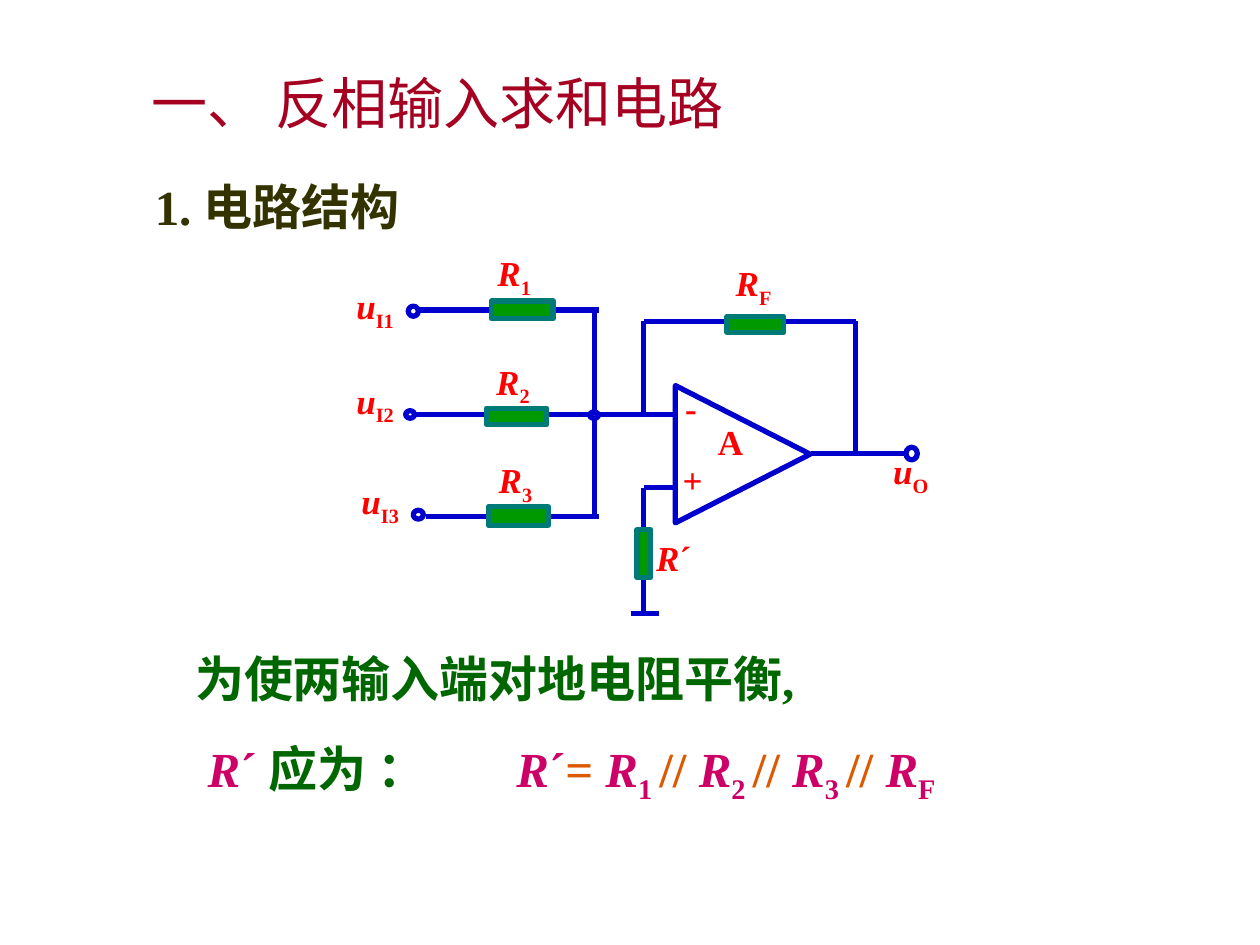
"""Build the slide on the inverting summing amplifier."""
from typing import NamedTuple

from lxml.etree import SubElement
from pptx import Presentation
from pptx.dml.color import RGBColor
from pptx.enum.shapes import MSO_CONNECTOR, MSO_SHAPE as Preset
from pptx.enum.text import MSO_ANCHOR as Anchor, PP_ALIGN as Align
from pptx.oxml.ns import qn
from pptx.util import Inches, Pt

CELL = Inches(0.1)
COLUMNS, ROWS = 100, 75
WIRE, BODY, BODY_EDGE, NODE = "0000CC", "009900", "007A77", "4C30F6"
RED, PINK, GREEN, ORANGE = "FF0000", "CC0066", "006600", "DC5900"
LATIN, ASIAN = "Times New Roman", "Noto Sans CJK JP"


class Wire(NamedTuple):
    """A straight wire between two grid points."""
    x1: float
    y1: float
    x2: float
    y2: float


class Box(NamedTuple):
    """A rectangle in grid columns and rows."""
    left: float
    top: float
    width: float
    height: float


class Label(NamedTuple):
    """A circuit label: a symbol with an upright suffix."""
    left: float
    top: float
    symbol: str
    suffix: str = ""
    subscript: bool = True
    italic: bool = True


WIRES = [
    Wire(33.8, 41, 47.5, 41), Wire(33, 32.9, 53.6, 32.9), Wire(33.1, 24.6, 47.5, 24.6),
    Wire(47.2, 24.5, 47.2, 41), Wire(51.1, 33.1, 51.1, 25.5), Wire(51.1, 25.5, 67.9, 25.5),
    Wire(67.9, 25.5, 67.9, 36.1), Wire(64.4, 36, 71.8, 36), Wire(51.1, 38.7, 53.6, 38.7),
    Wire(51.1, 38.7, 51.1, 48.7), Wire(50.1, 48.7, 52.3, 48.7),
]
RESISTORS = [
    Box(39, 23.9, 4.9, 1.4), Box(38.6, 32.4, 4.8, 1.3), Box(38.8, 40.2, 4.7, 1.5),
    Box(57.7, 25.1, 4.5, 1.3), Box(50.55, 42.05, 1.1, 3.8),
]
TERMINALS = [
    Box(32.4, 24.3, 0.8, 0.8), Box(32.2, 32.6, 0.7, 0.6),
    Box(32.8, 40.5, 0.8, 0.7), Box(71.9, 35.5, 0.9, 1),
]
JUNCTION = Box(46.8, 32.7, 0.7, 0.5)
AMPLIFIER = Box(53.5, 30.7, 10.9, 10.7)
LABELS = [
    Label(27.3, 22.1, "u", "I1"), Label(27.3, 29.6, "u", "I2"), Label(27.7, 37.6, "u", "I3"),
    Label(38.5, 19.5, "R", "1"), Label(38.4, 28.1, "R", "2"), Label(38.6, 35.9, "R", "3"),
    Label(57.4, 20.3, "R", "F"), Label(69.9, 35.2, "u", "O"),
    Label(51.1, 42.1, "R", "´", subscript=False),
    Label(53.2, 35.9, "+", italic=False), Label(53.4, 30.2, "-", italic=False),
    Label(56, 32.9, "A", italic=False),
]


def color(value: str) -> RGBColor:
    """Turn a hex string into a colour."""
    return RGBColor.from_string(value)


def grid(*cells: float) -> list[int]:
    """Turn grid cells into lengths."""
    return [round(cell * CELL) for cell in cells]


def add_run(paragraph, text: str, *, size: float, fill: str, bold: bool = True,
            italic: bool = False, subscript: bool = False, font: str = LATIN) -> None:
    """Add a formatted run to a paragraph."""
    run = paragraph.add_run()
    run.text = text
    run.font.name, run.font.size = font, Pt(size)
    run.font.bold, run.font.italic = bold, italic
    run.font.color.rgb = color(fill)
    properties = run.font._element
    SubElement(properties, qn("a:ea")).set("typeface", ASIAN)
    if subscript:
        properties.set("baseline", "-25000")


def add_text_box(slide, box: Box):
    """Add a wrapping text box and return its text frame."""
    frame = slide.shapes.add_textbox(*grid(*box)).text_frame
    frame.word_wrap = True
    return frame


def add_wire(slide, wire: Wire) -> None:
    """Draw one wire without a shadow."""
    connector = slide.shapes.add_connector(MSO_CONNECTOR.STRAIGHT, *grid(*wire))
    connector.line.color.rgb = color(WIRE)
    connector.line.width = Pt(3)
    SubElement(connector._element.spPr, qn("a:effectLst"))


def add_part(slide, preset: Preset, box: Box, *, fill: str = "", edge: str = WIRE,
             rotation: float = 0) -> None:
    """Draw one circuit part, hollow unless a fill is given."""
    shape = slide.shapes.add_shape(preset, *grid(*box))
    shape.shadow.inherit = False
    shape.rotation = rotation
    if fill:
        shape.fill.solid()
        shape.fill.fore_color.rgb = color(fill)
    else:
        shape.fill.background()
    shape.line.color.rgb = color(edge)
    shape.line.width = Pt(3)


def add_label(slide, label: Label) -> None:
    """Write one circuit label."""
    frame = add_text_box(slide, Box(label.left, label.top, 7, 4.6))
    paragraph = frame.paragraphs[0]
    add_run(paragraph, label.symbol, size=20, fill=RED, italic=label.italic)
    if label.suffix:
        add_run(paragraph, label.suffix, size=20, fill=RED, subscript=label.subscript)


def add_tabs(paragraph, *stops: float) -> None:
    """Set left tab stops, given in grid columns."""
    tab_list = SubElement(paragraph._p.get_or_add_pPr(), qn("a:tabLst"))
    for position in grid(*stops):
        tab = SubElement(tab_list, qn("a:tab"))
        tab.set("pos", str(position))
        tab.set("algn", "l")


def add_title(slide) -> None:
    """Place and format the title placeholder."""
    title = slide.shapes.title
    title.left, title.top, title.width, title.height = grid(11, 4.9, 60.1, 6.4)
    frame = title.text_frame
    frame.vertical_anchor = Anchor.TOP
    frame.word_wrap = True
    paragraph = frame.paragraphs[0]
    paragraph.alignment = Align.LEFT
    paragraph.space_before = Pt(0)
    add_run(paragraph, "一、 反相输入求和电路", size=32, fill="A50021", bold=False, font=ASIAN)


def add_conclusion(slide) -> None:
    """Write the balance condition and its formula."""
    frame = add_text_box(slide, Box(14.5, 51, 74.2, 13.4))
    add_run(frame.paragraphs[0], "为使两输入端对地电阻平衡,", size=28, fill=GREEN)
    formula = frame.add_paragraph()
    add_tabs(formula, 1, 25.5)
    formula.space_before = Pt(17.5)

    def write(text: str, fill: str = PINK, **style: bool) -> None:
        """Add a piece of the formula."""
        add_run(formula, text, size=28, fill=fill, **style)

    write("\tR", italic=True)
    write("´ ")
    write("应为 ：\t", GREEN)
    write("R", italic=True)
    write("´")
    for operator, suffix in (("= ", "1 "), ("// ", "2 "), ("// ", "3 "), ("// ", "F")):
        write(operator, ORANGE)
        write("R", italic=True)
        write(suffix, subscript=True)


def main() -> None:
    """Build and save the presentation."""
    presentation = Presentation()
    presentation.slide_width, presentation.slide_height = grid(COLUMNS, ROWS)
    slide = presentation.slides.add_slide(presentation.slide_layouts[5])
    add_title(slide)
    heading = add_text_box(slide, Box(11.3, 13.5, 31.8, 5.7))
    add_run(heading.paragraphs[0], "1. 电路结构", size=28, fill="333300")
    for wire in WIRES:
        add_wire(slide, wire)
    for resistor in RESISTORS:
        add_part(slide, Preset.RECTANGLE, resistor, fill=BODY, edge=BODY_EDGE)
    for terminal in TERMINALS:
        add_part(slide, Preset.OVAL, terminal)
    add_part(slide, Preset.OVAL, JUNCTION, fill=NODE)
    add_part(slide, Preset.ISOSCELES_TRIANGLE, AMPLIFIER, rotation=90)
    for label in LABELS:
        add_label(slide, label)
    add_conclusion(slide)
    presentation.save("out.pptx")


if __name__ == "__main__":
    main()
